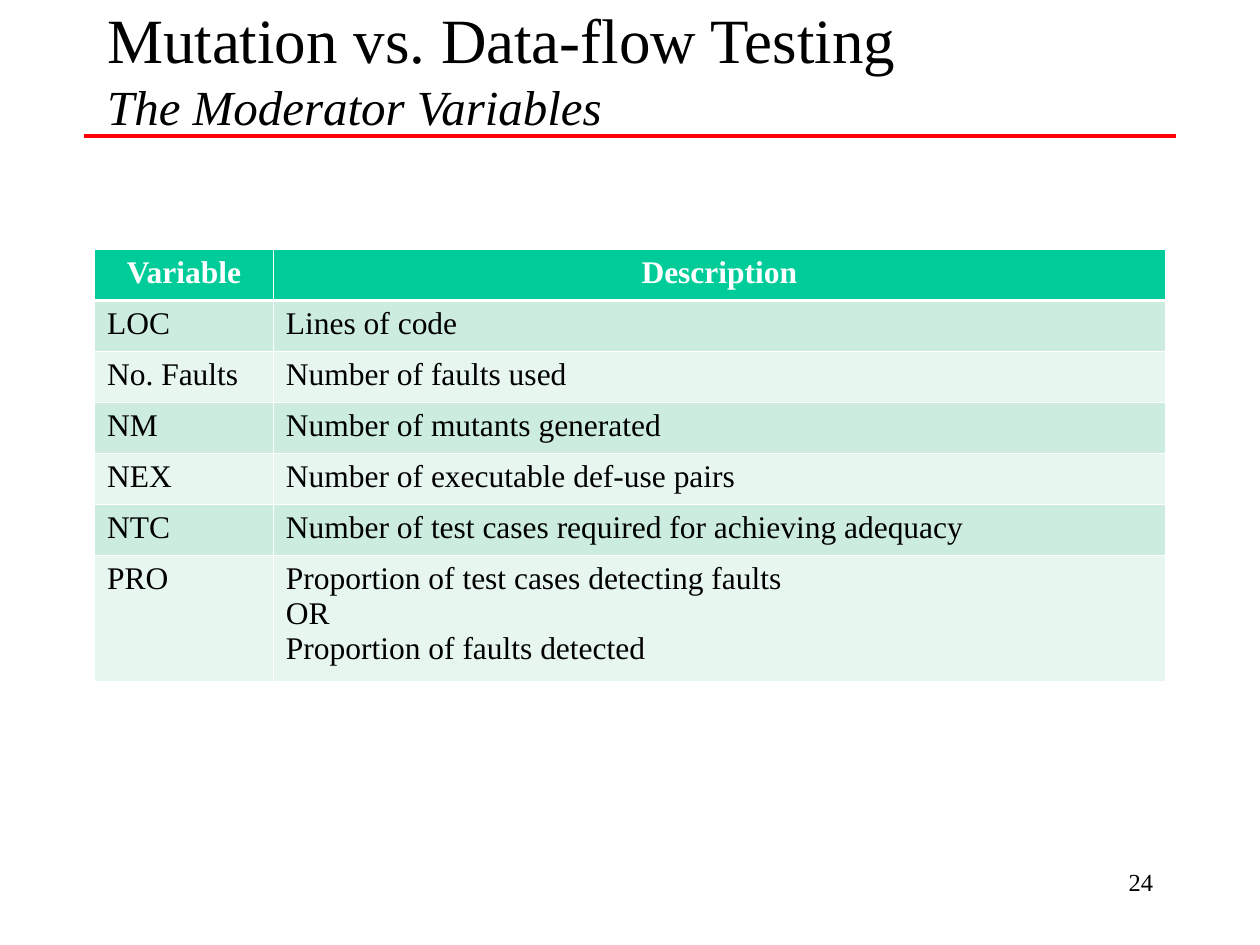
from copy import deepcopy

from lxml import etree
from pptx import Presentation, util as u
from pptx.dml.color import RGBColor
from pptx.enum import shapes, text
from pptx.oxml import ns

FONT = "Times New Roman"
BLACK, WHITE, RED = "000000", "FFFFFF", "FF0000"
HEADER_FILL = "00CC99"
BAND_FILLS = ("CBECDE", "E7F6EF")
THIN, THICK = 0.45, 1.5

VARIABLES = [
    ("Variable", ["Description"]),
    ("LOC", ["Lines of code"]),
    ("No. Faults", ["Number of faults used"]),
    ("NM", ["Number of mutants generated"]),
    ("NEX", ["Number of executable def-use pairs"]),
    ("NTC", ["Number of test cases required for achieving adequacy"]),
    ("PRO", ["Proportion of test cases detecting faults", "OR",
             "Proportion of faults detected"]),
]


def rgb(value):
    return RGBColor.from_string(value)


class SlideBuilder:
    def __init__(self, deck):
        self.slide = deck.slides.add_slide(deck.slide_layouts[5])

    def span(self, para, words, size, color=BLACK, bold=False, italic=False):
        run = para.add_run()
        run.text = words
        font = run.font
        font.name, font.size = FONT, u.Pt(size)
        font.bold, font.italic = bold, italic
        font.color.rgb = rgb(color)
        return run

    def title(self, heading, subtitle, left, top, width, height):
        box = self.slide.shapes.title
        box.left, box.top = u.Inches(left), u.Inches(top)
        box.width, box.height = u.Inches(width), u.Inches(height)
        frame = box.text_frame
        frame.auto_size = text.MSO_AUTO_SIZE.NONE
        frame.vertical_anchor = text.MSO_ANCHOR.MIDDLE
        para = frame.paragraphs[0]
        para.alignment = text.PP_ALIGN.LEFT
        first = self.span(para, heading, 36)
        para.add_line_break()
        # The break takes the heading's size, not the larger template size.
        line_break = para._p.find(ns.qn("a:br"))
        line_break.append(deepcopy(first._r.find(ns.qn("a:rPr"))))
        self.span(para, subtitle, 28, italic=True)

    def page_number(self, number, left, top, width, height):
        box = self.slide.shapes.add_textbox(*map(u.Inches, (left, top, width, height)))
        box.text_frame.word_wrap = True
        para = box.text_frame.paragraphs[0]
        para.alignment = text.PP_ALIGN.RIGHT
        self.span(para, number, 14)

    def rule(self, left, right, y, color, weight):
        line = self.slide.shapes.add_connector(
            shapes.MSO_CONNECTOR.STRAIGHT, *map(u.Inches, (left, y, right, y)))
        line.line.color.rgb = rgb(color)
        line.line.width = u.Pt(weight)
        etree.SubElement(line._element.spPr, ns.qn("a:effectLst"))

    def borders(self, cell, row):
        """Draw white cell edges, with a heavier one under the header row."""
        weights = {"L": THIN, "R": THIN,
                   "T": THICK if row == 1 else THIN,
                   "B": THICK if row == 0 else THIN}
        properties = cell._tc.get_or_add_tcPr()
        for side, weight in weights.items():
            edge = etree.SubElement(properties, ns.qn(f"a:ln{side}"), w=str(u.Pt(weight)))
            fill = etree.SubElement(edge, ns.qn("a:solidFill"))
            etree.SubElement(fill, ns.qn("a:srgbClr"), val=WHITE)

    def cell(self, cell, lines, row):
        header = row == 0
        self.borders(cell, row)
        cell.fill.solid()
        cell.fill.fore_color.rgb = rgb(HEADER_FILL if header else BAND_FILLS[(row - 1) % 2])
        frame = cell.text_frame
        for index, words in enumerate(lines):
            para = frame.add_paragraph() if index else frame.paragraphs[0]
            para.alignment = text.PP_ALIGN.CENTER if header else text.PP_ALIGN.LEFT
            self.span(para, words, 18, WHITE if header else BLACK, bold=header)

    def table(self, rows, left, top, widths, height, last_height):
        frame = self.slide.shapes.add_table(
            len(rows), len(widths),
            *map(u.Inches, (left, top, sum(widths), height)))
        table = frame.table
        for column, width in zip(table.columns, widths):
            column.width = u.Inches(width)
        for index, (name, description) in enumerate(rows):
            is_last = index == len(rows) - 1
            table.rows[index].height = u.Inches(
                last_height if is_last else (height - last_height) / (len(rows) - 1))
            self.cell(table.cell(index, 0), [name], index)
            self.cell(table.cell(index, 1), description, index)


def main():
    deck = Presentation()
    deck.slide_width, deck.slide_height = u.Inches(10), u.Inches(7.5)
    page = SlideBuilder(deck)
    page.page_number("24", 7.17, 6.83, 2.08, 0.5)
    page.title("Mutation vs. Data-flow Testing", "The Moderator Variables",
               0.75, 0.08, 8.92, 0.92)
    page.rule(0.67, 9.33, 1.08, RED, 2)
    page.table(VARIABLES, 0.75, 1.98, (1.42, 7.08), 3.43, 1)
    deck.save("out.pptx")


if __name__ == "__main__":
    main()
